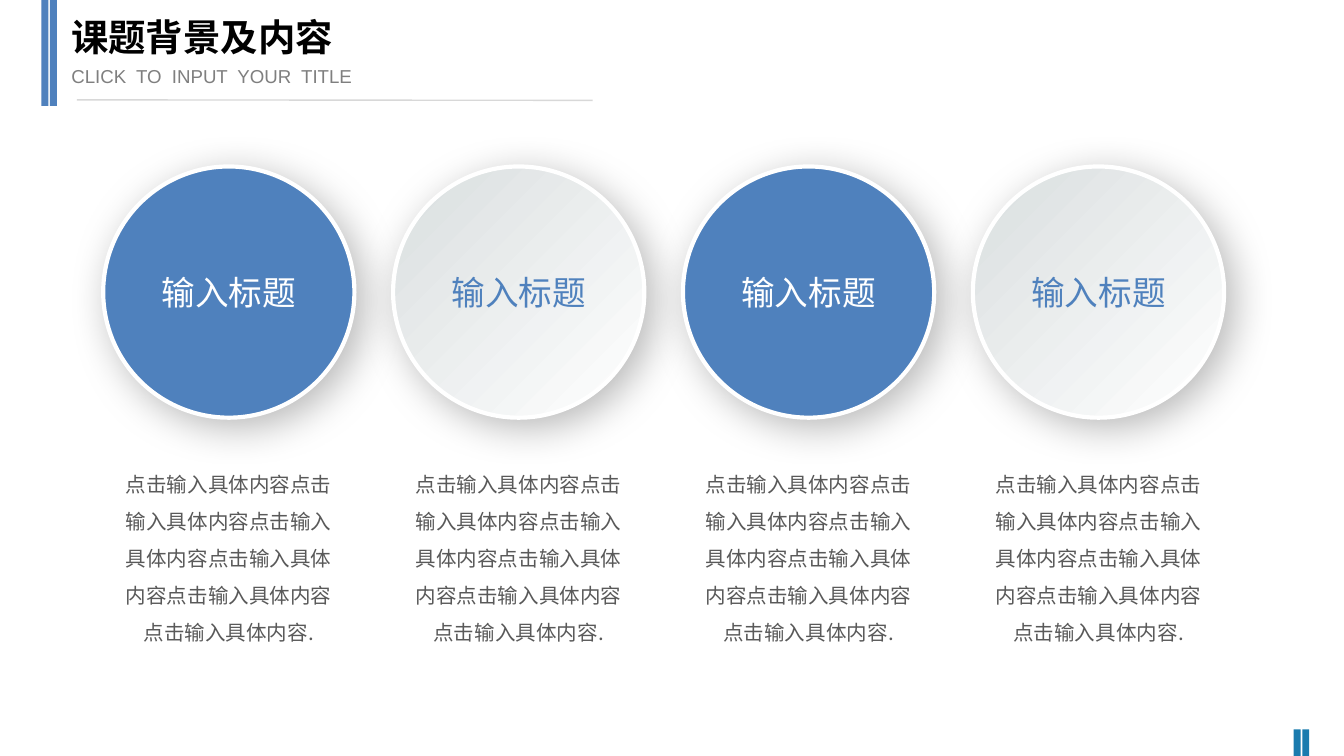
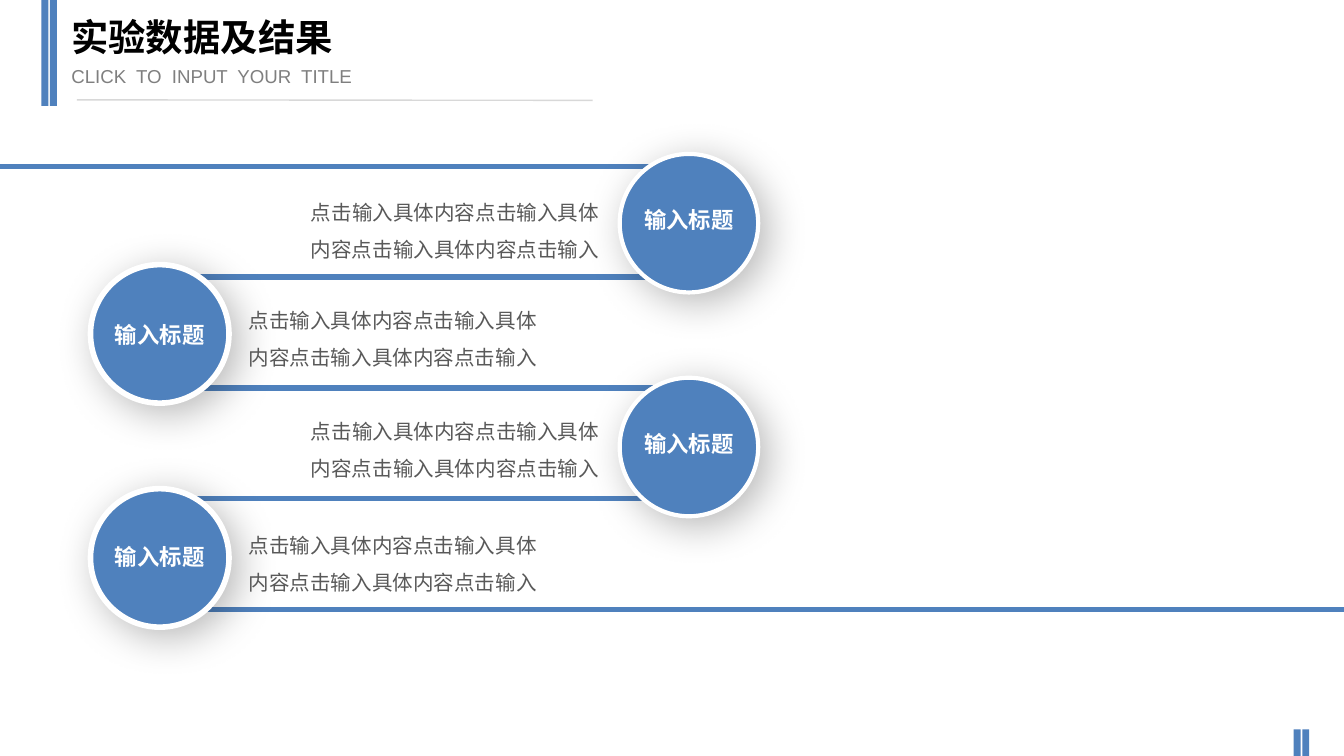
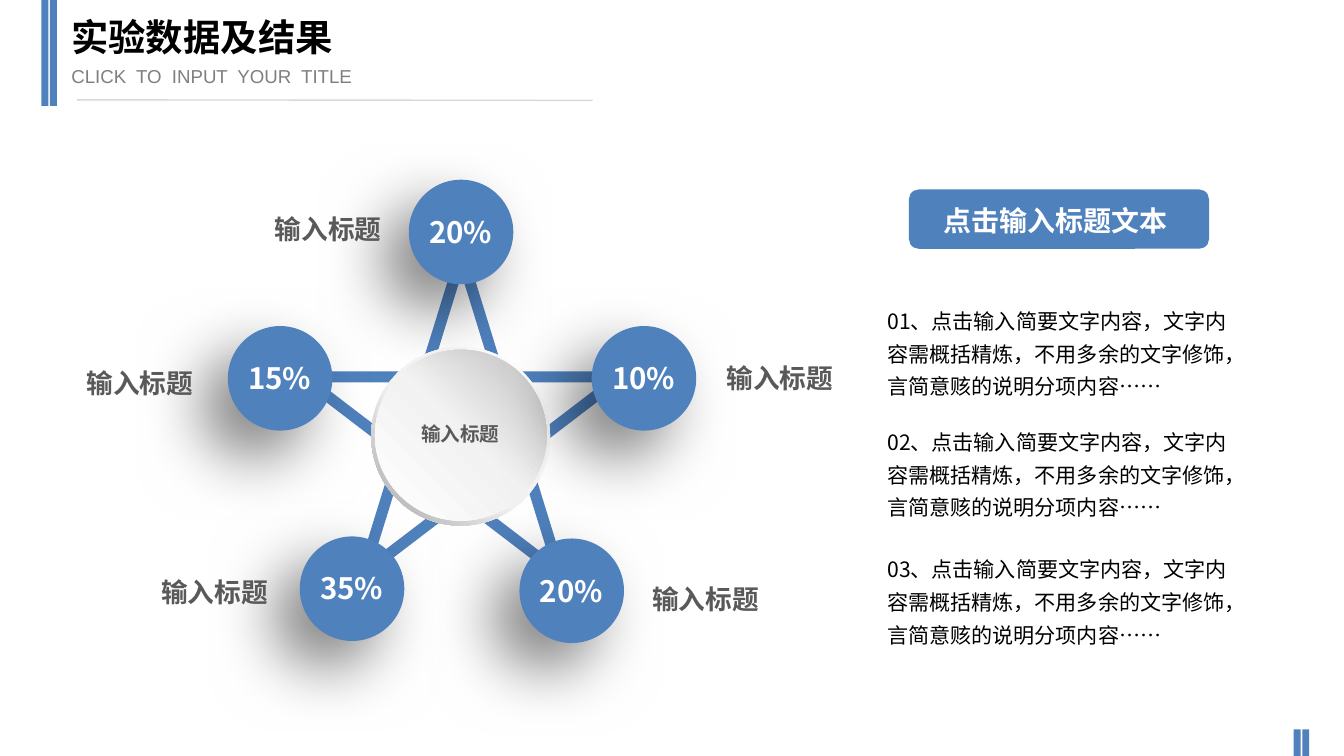
"""Build three report slides: background circles, a zigzag of results and a star of shares."""
from lxml import etree
from pptx import Presentation
from pptx.dml.color import RGBColor
from pptx.enum import shapes, text
from pptx.oxml import ns
from pptx.util import Pt

BLUE = RGBColor(0x4F, 0x81, 0xBD)
DEEP_BLUE = RGBColor(0x1A, 0x7B, 0xAE)
WHITE = RGBColor(0xFF, 0xFF, 0xFF)
BLACK = RGBColor(0x00, 0x00, 0x00)
GREY = RGBColor(0x7F, 0x7F, 0x7F)
DARK_GREY = RGBColor(0x59, 0x59, 0x59)
RULE_GREY = RGBColor(0xD8, 0xD8, 0xD8)
MIST = RGBColor(0xD9, 0xDE, 0xDF)
PALE = RGBColor(0xF2, 0xF2, 0xF2)
SILVER = RGBColor(0xBF, 0xBF, 0xBF)
STEEL = RGBColor(0xA6, 0xA6, 0xA6)

SANS = "Noto Sans CJK SC"
LATIN = "Arial"
LEFT, CENTER, RIGHT = text.PP_ALIGN.LEFT, text.PP_ALIGN.CENTER, text.PP_ALIGN.RIGHT
RECTANGLE = shapes.MSO_SHAPE.RECTANGLE
OVAL = shapes.MSO_SHAPE.OVAL
ROUNDED = shapes.MSO_SHAPE.ROUNDED_RECTANGLE

SOFT_SHADOW = (28, 22, 6, 45)
DEEP_SHADOW = (50, 35, 20, 135)
LABEL = "输入标题"
PHRASE = "点击输入具体内容"


def write(slide, content, box=None, shape=None, size=11, colour=DARK_GREY, bold=False,
          font=SANS, align=LEFT, spacing=None, inset=(7.2, 3.6), wrap=True):
    """Write one paragraph in a new text box, or in the given shape."""
    frame = (shape or slide.shapes.add_textbox(*map(Pt, box))).text_frame
    frame.word_wrap = wrap
    frame.margin_left = frame.margin_right = Pt(inset[0])
    frame.margin_top = frame.margin_bottom = Pt(inset[1])
    paragraph = frame.paragraphs[0]
    paragraph.alignment = align
    if spacing:
        paragraph.line_spacing = spacing
    run = paragraph.add_run()
    run.text = content
    run.font.size = Pt(size)
    run.font.bold = bold
    run.font.color.rgb = colour
    run.font.name = font
    etree.SubElement(run._r.get_or_add_rPr(), ns.qn("a:ea"), typeface=SANS)


def draw(slide, kind, box, fill=None, stops=None, angle=0, line=None, shadow=None):
    """Draw a preset shape with a solid, gradient or empty fill."""
    shape = slide.shapes.add_shape(kind, *map(Pt, box))
    shape.shadow.inherit = False
    properties = shape._element.spPr
    if stops:
        shape.fill.gradient()
        shape.fill.gradient_angle = (360 - angle) % 360
        stop_list = properties.find(".//" + ns.qn("a:gsLst"))
        stop_list.clear()
        for position, colour in stops:
            stop = etree.SubElement(stop_list, ns.qn("a:gs"), pos=str(position * 1000))
            etree.SubElement(stop, ns.qn("a:srgbClr"), val=str(colour))
    elif fill is not None:
        shape.fill.solid()
        shape.fill.fore_color.rgb = fill
    else:
        shape.fill.background()
    if line:
        shape.line.color.rgb, shape.line.width = line[0], Pt(line[1])
    else:
        shape.line.fill.background()
    if shadow:
        opacity, blur, distance, direction = shadow
        outer = etree.SubElement(
            properties.find(ns.qn("a:effectLst")), ns.qn("a:outerShdw"), blurRad=str(Pt(blur)),
            dist=str(Pt(distance)), dir=str(direction * 60000), algn="ctr", rotWithShape="0")
        colour = etree.SubElement(outer, ns.qn("a:srgbClr"), val=str(BLACK))
        etree.SubElement(colour, ns.qn("a:alpha"), val=str(opacity * 1000))
    return shape


presentation = Presentation()
presentation.slide_width, presentation.slide_height = Pt(720), Pt(405)

rules = []
for title, footer_colour in [("课题背景及内容", DEEP_BLUE), ("实验数据及结果", BLUE), ("实验数据及结果", BLUE)]:
    slide = presentation.slides.add_slide(presentation.slide_layouts[6])
    for bar in range(2):
        draw(slide, RECTANGLE, (22.2 + 4.6 * bar, 0, 3.75, 56.8), fill=BLUE)
        draw(slide, RECTANGLE, (693.1 + 4.6 * bar, 390.8, 3.75, 14.2), fill=footer_colour)
    write(slide, title, (31.1, 4.3, 291, 36), size=20, colour=BLACK, bold=True, font=LATIN)
    write(slide, "CLICK  TO  INPUT  YOUR  TITLE", (31.2, 31, 227, 19.4), size=10, colour=GREY, font=LATIN)
    rules.append((slide, 41.2, 53.5, 317.5, 53.8, RULE_GREY, 0.75))
background, zigzag, shares = presentation.slides

for row, (start, end) in enumerate([(0, 367), (86.4, 367), (86.4, 367), (86.4, 367), (86.4, 720)]):
    height = 89.2 + 59.32 * row
    rules.append((zigzag, start, height, end, height, BLUE, 3))
for slide, x1, y1, x2, y2, colour, weight in rules:
    connector = slide.shapes.add_connector(shapes.MSO_CONNECTOR.STRAIGHT, *map(Pt, (x1, y1, x2, y2)))
    connector.line.color.rgb, connector.line.width = colour, Pt(weight)
    etree.SubElement(connector._element.spPr, ns.qn("a:effectLst"))

for column in range(4):
    left = 55.3 + 155.3 * column
    if column % 2:
        look, label_colour = {"stops": [(0, MIST), (100, WHITE)], "angle": 45}, BLUE
    else:
        look, label_colour = {"fill": BLUE}, WHITE
    circle = draw(background, OVAL, (left, 89.2, 134.6, 134.6), line=(WHITE, 2.25),
                  shadow=SOFT_SHADOW, **look)
    write(background, LABEL, shape=circle, size=18, colour=label_colour, font=LATIN, align=CENTER)
    write(background, PHRASE * 6 + ".", (left, 242.6, 134.6, 104.4), align=CENTER, spacing=1.5)

for row, (top, label_top, body_top) in enumerate([
        (82.5, 107.1, 97.2), (141.8, 168.3, 155.1), (202.4, 226.7, 214.4), (261.8, 287.4, 275.3)]):
    if row % 2:
        left, body_left, align, ring = 48.5, 126.1, LEFT, 3
    else:
        left, body_left, align, ring = 332, 155.4, RIGHT, 2.25
    draw(zigzag, OVAL, (left, top, 74.2, 74.2), fill=BLUE, line=(WHITE, ring), shadow=SOFT_SHADOW)
    write(zigzag, LABEL, (left + 5.4, label_top, 63.4, 21.6), size=12, colour=WHITE, bold=True,
          align=CENTER, wrap=False)
    write(zigzag, PHRASE * 3 + "点击输入", (body_left, body_top, 172.8, 47.5), align=align, spacing=1.5)

draw(shares, shapes.MSO_SHAPE.STAR_5_POINT, (162, 136.8, 170.6, 170.6), line=(BLUE, 6))
hub_ring = draw(shares, shapes.MSO_SHAPE.DONUT, (198.9, 185.8, 95.8, 95.8),
                stops=[(0, WHITE), (55, PALE), (100, STEEL)], angle=135)
hub_ring.adjustments[0] = 0.05
draw(shares, OVAL, (200.9, 187.4, 92, 91.6), stops=[(0, WHITE), (51, PALE), (100, SILVER)], angle=315)
write(shares, LABEL, (218.2, 222.5, 56.9, 20.2), size=10.5, bold=True, align=CENTER, inset=(0, 3.6))

for share, left, top, label_left, label_top in [
        ("15%", 122.1, 174.7, 38.9, 193), ("20%", 219, 96.3, 139.9, 110.5),
        ("10%", 317, 174.7, 381.8, 190.5), ("20%", 278.3, 288.5, 342, 308.8),
        ("35%", 160.6, 287.4, 79, 304.9)]:
    draw(shares, OVAL, (left, top, 56, 56), fill=BLUE, shadow=DEEP_SHADOW)
    write(shares, share, (left + 1.5, top + 18.3, 52.6, 19.4), size=15.75, colour=WHITE, bold=True,
          align=CENTER, inset=(0, 0))
    write(shares, LABEL, (label_left, label_top, 72, 24.5), size=14.25, bold=True, align=CENTER, wrap=False)

draw(shares, ROUNDED, (485.5, 100.1, 163.4, 33.8), fill=WHITE)
draw(shares, ROUNDED, (486.9, 101.5, 160.8, 31.8), fill=BLUE)
write(shares, "点击输入标题文本", (486.7, 109.1, 157.7, 18), size=15, colour=WHITE, bold=True,
      align=CENTER, inset=(0, 0))
for number, top in enumerate([157.7, 222.5, 290.7], start=1):
    write(shares, f"{number:02}、点击输入简要文字内容，文字内容需概括精炼，不用多余的文字修饰，言简意赅的说明分项内容……",
          (468.3, top, 196.6, 60.5), size=11.25, colour=BLACK, spacing=1.3)

presentation.save("out.pptx")
